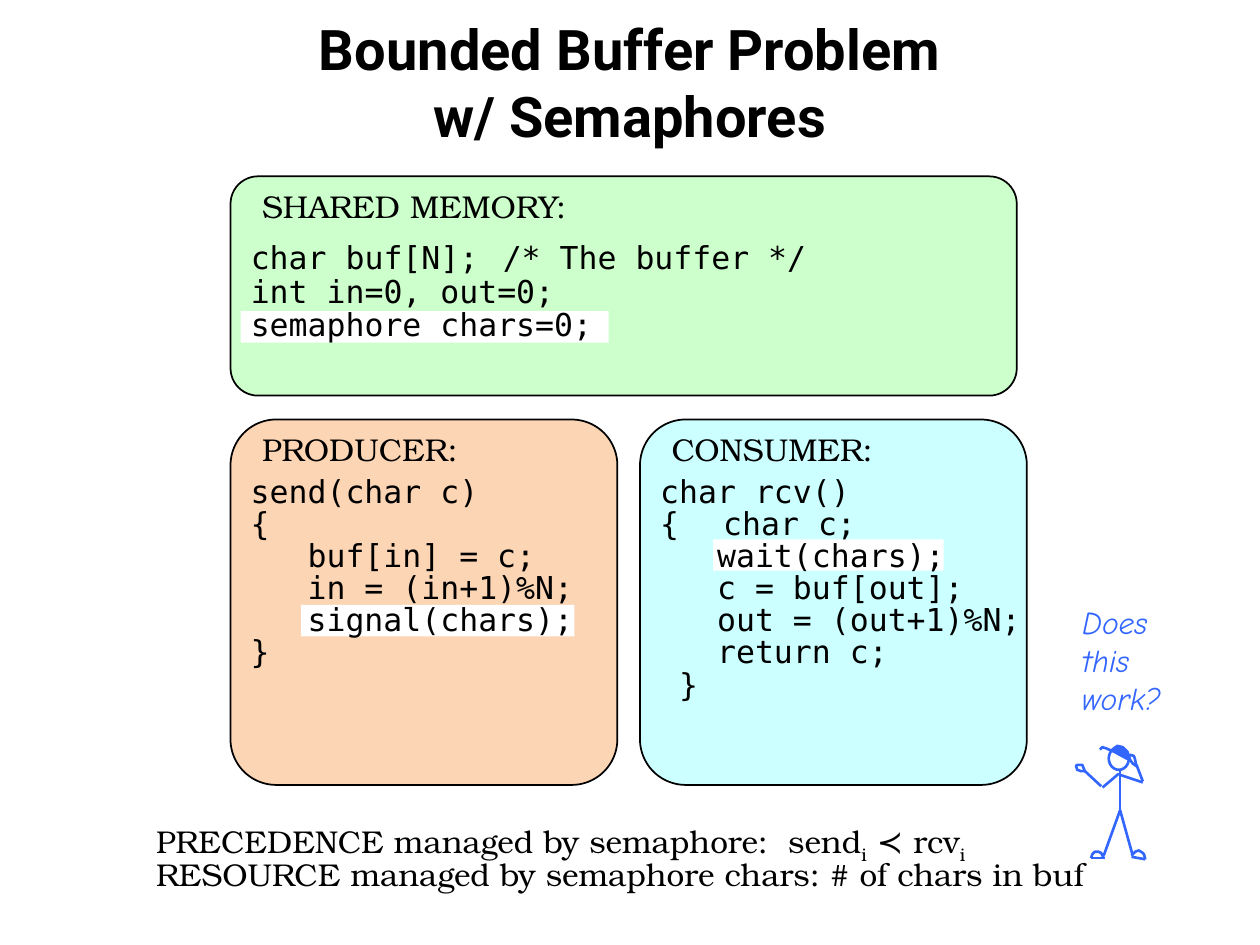
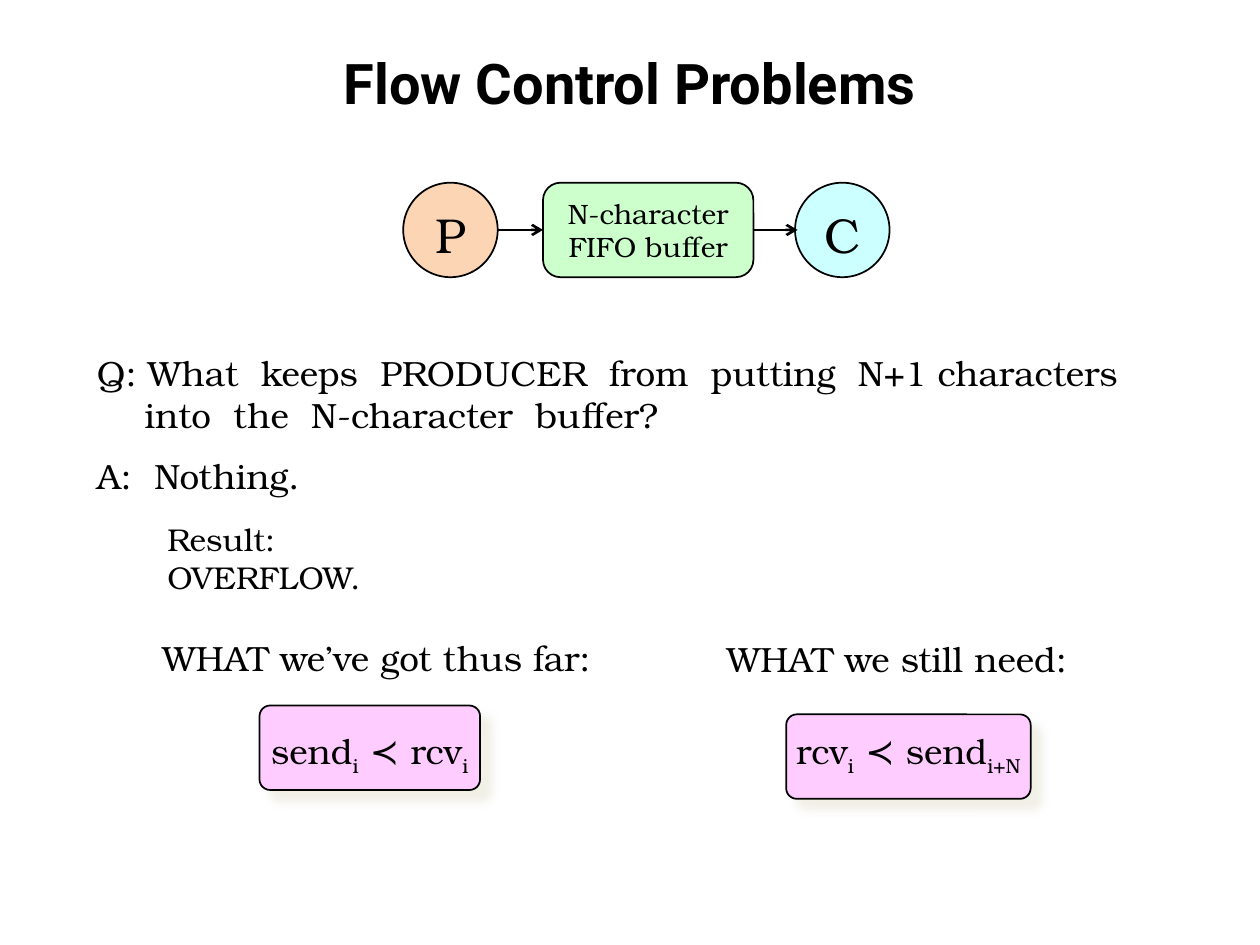
from dataclasses import dataclass

from lxml.etree import SubElement
from pptx import Presentation
from pptx.dml.color import RGBColor
from pptx.enum.shapes import MSO_CONNECTOR as CONN, MSO_SHAPE as SHAPE
from pptx.enum.text import MSO_ANCHOR as ANCHOR, PP_ALIGN as ALIGN
from pptx.oxml.ns import qn
from pptx.util import Inches, Pt


@dataclass(frozen=True)
class Theme:
    black: str = "000000"
    white: str = "FFFFFF"
    producer: str = "FCD5B5"
    shared: str = "CCFFCC"
    consumer: str = "CCFFFF"
    rule: str = "FFCCFF"
    shadow: str = "EEECE1"
    figure: str = "3366FF"
    head_font: str = "Roboto"
    body_font: str = "TeX Gyre Bonum"
    code_font: str = "DejaVu Sans Mono"
    note_font: str = "Comic Neue"
    title: int = 32
    letter: int = 28
    body: int = 20
    small: int = 18
    label: int = 16


T = Theme()
CODE_COL = 0.1505  # width of one code character, in inches
TIGHT = (0.07, 0.03)
NORMAL = (0.1, 0.05)

# Code lines are (column, text); a tab jumps to the panel's tab column.
PANELS = [
    dict(caption="SHARED MEMORY:", box=(1.83, 1.4, 6.24, 1.74), fill=T.shared,
         code_top=0.5, spacing=0.88, tab=22, highlight=(1.91, 2.47, 2.92, 0.25),
         code=[(0, "char buf[N];\t/* The buffer */"), (0, "int in=0, out=0;"),
               (0, "semaphore chars=0;")]),
    dict(caption="PRODUCER:", box=(1.83, 3.33, 3.07, 2.9), fill=T.producer,
         code_top=0.43, spacing=0.85, tab=3, highlight=(2.39, 4.8, 2.17, 0.25),
         code=[(0, "send(char c)"), (0, "{"), (3, "buf[in] = c;"),
               (3, "in = (in+1)%N;"), (3, "signal(chars);"), (0, "}")]),
    dict(caption="CONSUMER:", box=(5.08, 3.33, 3.07, 2.9), fill=T.consumer,
         code_top=0.43, spacing=0.85, tab=3, highlight=(5.66, 4.28, 1.83, 0.25),
         code=[(0, "char rcv()"), (0, "{\tchar c;"), (3, "wait(chars);"),
               (3, "c = buf[out];"), (3, "out = (out+1)%N;"), (3, "return c;"),
               (1, "}")]),
]
# Text between tildes is subscript.
MANAGED = ["PRECEDENCE managed by semaphore:  send~i~ ≺ rcv~i~",
           "RESOURCE managed by semaphore chars: # of chars in buf"]

FIGURE_LINES = [
    (8.89, 6.11, 8.89, 6.43), (8.89, 6.43, 8.76, 6.79), (8.89, 6.43, 8.99, 6.79),
    (8.77, 6.81, 8.66, 6.81), (8.98, 6.8, 9.09, 6.82), (8.88, 6.14, 8.75, 6.25),
    (8.74, 6.24, 8.61, 6.12), (8.89, 6.15, 9.07, 6.21), (9.07, 6.2, 9.02, 6.07),
]
FIGURE_HEAD = (8.8, 5.93, 0.16, 0.18)
LEFT_FOOT = [(8.66, 6.81), (8.67, 6.78), (8.69, 6.76), (8.72, 6.76), (8.74, 6.77),
             (8.76, 6.81)]
RIGHT_FOOT = [(9.09, 6.82), (9.08, 6.78), (9.07, 6.77), (9.04, 6.75), (9.01, 6.76),
              (8.98, 6.79)]
LEFT_HAND = [(8.61, 6.12), (8.59, 6.07), (8.55, 6.07), (8.54, 6.08), (8.55, 6.11),
             (8.58, 6.12)]
RIGHT_HAND = [(9.02, 6.08), (8.99, 6.06), (8.97, 6.03), (8.96, 6), (8.97, 5.99),
              (9, 6), (9.01, 6.03)]
CAP_BRIM = [(8.96, 6.03), (8.85, 5.97), (8.78, 5.94), (8.75, 5.93), (8.73, 5.95)]
CAP = [(8.96, 6.02), (8.95, 5.97), (8.91, 5.93), (8.87, 5.92), (8.84, 5.94),
       (8.83, 5.95), (8.89, 5.99)]
FIGURE_OUTLINES = [(LEFT_FOOT, False, None), (RIGHT_FOOT, False, None),
                   (LEFT_HAND, True, None), (RIGHT_HAND, True, None),
                   (CAP_BRIM, False, None), (CAP, True, T.figure)]

ENDS = [("P", 3.2, T.producer), ("C", 6.31, T.consumer)]
FLOW_TOP, FLOW_SIZE = 1.45, 0.75
BUFFER = (4.31, FLOW_TOP, 1.67, FLOW_SIZE)
QUESTION = ["Q: What  keeps  PRODUCER  from  putting  N+1 characters",
            "into  the  N-character  buffer?"]
NOTES = [  # lines, box, size
    (["A:  Nothing."], (0.67, 3.56, 3, 0.44), T.body),
    (["Result:", "OVERFLOW."], (1.23, 4.08, 2.3, 0.7), T.small),
    (["WHAT we’ve got thus far:"], (1.19, 5, 3.72, 0.44), T.body),
    (["WHAT we still need:"], (5.67, 5.01, 3.02, 0.44), T.body),
]
RULES = [("send~i~ ≺ rcv~i~", (2.06, 5.6, 1.75, 0.67)),
         ("rcv~i~ ≺ send~i+N~", (6.24, 5.67, 1.94, 0.67))]
RULE_TEXT_TOP = 5.79


def rgb(value):
    return RGBColor.from_string(value)


def inches(values):
    return [Inches(v) for v in values]


def paint(sp, fill=None, line=None, width=1):
    sp.shadow.inherit = False
    if fill:
        sp.fill.solid()
        sp.fill.fore_color.rgb = rgb(fill)
    else:
        sp.fill.background()
    if line:
        sp.line.color.rgb = rgb(line)
        sp.line.width = Pt(width)
    else:
        sp.line.fill.background()


def add_box(shapes, kind, box, fill=None, line=T.black, width=1, corner=None):
    sp = shapes.add_shape(kind, *inches(box))
    paint(sp, fill, line, width)
    if corner is not None:
        sp.adjustments[0] = corner
    return sp


def write(sp, lines, size, font=T.body_font, color=T.black, bold=False, italic=False,
          align=ALIGN.LEFT, spacing=None, anchor=ANCHOR.TOP, insets=NORMAL):
    """Fill a shape with one paragraph per line; ~x~ makes x a subscript."""
    tf = sp.text_frame
    tf.word_wrap = True
    tf.vertical_anchor = anchor
    tf.margin_left = tf.margin_right = Inches(insets[0])
    tf.margin_top = tf.margin_bottom = Inches(insets[1])
    for n, line in enumerate(lines):
        p = tf.add_paragraph() if n else tf.paragraphs[0]
        p.alignment = align
        if spacing:
            p.line_spacing = spacing
        for k, part in enumerate(line.split("~")):
            if not part:
                continue
            r = p.add_run()
            r.text = part
            f = r.font
            f.name, f.size, f.bold, f.italic = font, Pt(size), bold, italic
            f.color.rgb = rgb(color)
            if k % 2:
                r._r.get_or_add_rPr().set("baseline", "-25000")
    return tf


def add_text(s, box, lines, size, **style):
    return write(s.shapes.add_textbox(*inches(box)), lines, size, **style)


def indent(p, left, tab=None):
    pPr = p._p.get_or_add_pPr()
    pPr.set("marL", str(Inches(left)))
    pPr.set("indent", "0")
    if tab:
        tabs = SubElement(pPr, qn("a:tabLst"))
        SubElement(tabs, qn("a:tab"), pos=str(Inches(tab)), algn="l")


def add_line(shapes, ends, color, arrow=False):
    c = shapes.add_connector(CONN.STRAIGHT, *inches(ends))
    c.line.color.rgb = rgb(color)
    c.line.width = Pt(1.5)
    if arrow:
        SubElement(c.line._get_or_add_ln(), qn("a:tailEnd"), type="arrow")
    SubElement(c._element.spPr, qn("a:effectLst"))
    return c


def add_shadow(sp):
    effects = sp._element.spPr.find(qn("a:effectLst"))
    outer = SubElement(effects, qn("a:outerShdw"), blurRad=str(Pt(5)),
                       dist=str(Pt(8.5)), dir=str(45 * 60000), algn="tl",
                       rotWithShape="0")
    color = SubElement(outer, qn("a:srgbClr"), val=T.shadow)
    SubElement(color, qn("a:alpha"), val="75000")


def new_slide(prs, *title):
    s = prs.slides.add_slide(prs.slide_layouts[6])
    add_text(s, (0.5, 0.3, 9, 0.7), title, T.title, font=T.head_font, bold=True,
             align=ALIGN.CENTER, anchor=ANCHOR.MIDDLE)
    return s


def add_panel(s, caption, box, fill, code_top, spacing, tab, highlight, code):
    left, top, width, _ = box
    add_box(s.shapes, SHAPE.ROUNDED_RECTANGLE, box, fill, corner=0.125)
    add_box(s.shapes, SHAPE.RECTANGLE, highlight, T.white, line=None)
    add_text(s, (left + 0.18, top + 0.1, 3, 0.32), [caption], T.small,
             spacing=0.85, insets=TIGHT)
    tf = add_text(s, (left + 0.09, top + code_top, width + 0.17, 0.27 * len(code)),
                  [text for _, text in code], T.small, font=T.code_font,
                  spacing=spacing, insets=TIGHT)
    for p, (col, _) in zip(tf.paragraphs, code):
        indent(p, col * CODE_COL, tab * CODE_COL)


def add_figure(s):
    shapes = s.shapes.add_group_shape().shapes
    for ends in FIGURE_LINES:
        add_line(shapes, ends, T.figure)
    add_box(shapes, SHAPE.OVAL, FIGURE_HEAD, line=T.figure, width=1.5)
    for points, closed, fill in FIGURE_OUTLINES:
        start, *rest = [inches(point) for point in points]
        outline = shapes.build_freeform(*start)
        outline.add_line_segments(rest, close=closed)
        paint(outline.convert_to_shape(), fill, T.figure, 1.5)


def semaphore_slide(prs):
    s = new_slide(prs, "Bounded Buffer Problem", "w/ Semaphores")
    for panel in PANELS:
        add_panel(s, **panel)
    add_text(s, (1.17, 6.51, 7.8, 0.57), MANAGED, T.small, spacing=0.85, insets=TIGHT)
    add_figure(s)
    add_text(s, (8.49, 4.74, 1.11, 1.01), ["Does this work?"], T.small,
             font=T.note_font, color=T.figure, italic=True)


def flow_slide(prs):
    s = new_slide(prs, "Flow Control Problems")
    for letter, left, fill in ENDS:
        sp = add_box(s.shapes, SHAPE.OVAL, (left, FLOW_TOP, FLOW_SIZE, FLOW_SIZE), fill)
        tf = write(sp, [letter], T.letter, align=ALIGN.CENTER, anchor=ANCHOR.MIDDLE,
                   insets=(0, 0))
        tf.margin_top = Inches(0.06)
    buffer = add_box(s.shapes, SHAPE.ROUNDED_RECTANGLE, BUFFER, T.shared, corner=0.185)
    write(buffer, ["N-character", "FIFO buffer"], T.label, align=ALIGN.CENTER,
          anchor=ANCHOR.MIDDLE)
    middle = FLOW_TOP + FLOW_SIZE / 2
    (_, p_left, _), (_, c_left, _) = ENDS
    send = add_line(s.shapes, (p_left + FLOW_SIZE, middle, BUFFER[0], middle),
                    T.black, arrow=True)
    send.end_connect(buffer, 1)
    receive = add_line(s.shapes, (BUFFER[0] + BUFFER[2], middle, c_left + 0.02, middle),
                       T.black, arrow=True)
    receive.begin_connect(buffer, 3)

    question = add_text(s, (0.67, 2.74, 8.58, 0.8), QUESTION, T.body)
    indent(question.paragraphs[1], 0.38)
    for lines, box, size in NOTES:
        add_text(s, box, lines, size)
    for rule, box in RULES:
        add_shadow(add_box(s.shapes, SHAPE.ROUNDED_RECTANGLE, box, T.rule, corner=0.125))
        add_text(s, (box[0], RULE_TEXT_TOP, box[2], 0.34), [rule], T.body,
                 align=ALIGN.CENTER, insets=(0, 0))


def main():
    prs = Presentation()
    prs.slide_width, prs.slide_height = Inches(10), Inches(7.5)
    semaphore_slide(prs)
    flow_slide(prs)
    prs.save("out.pptx")


if __name__ == "__main__":
    main()
